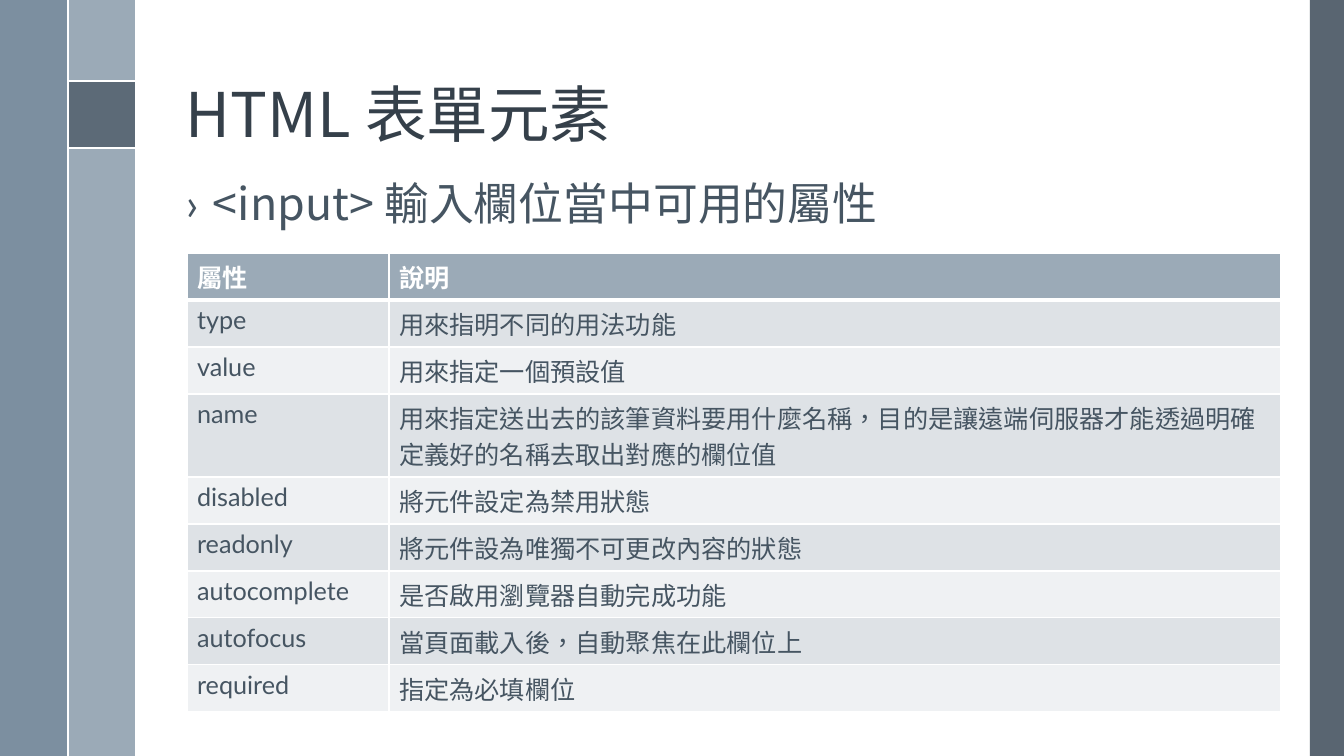
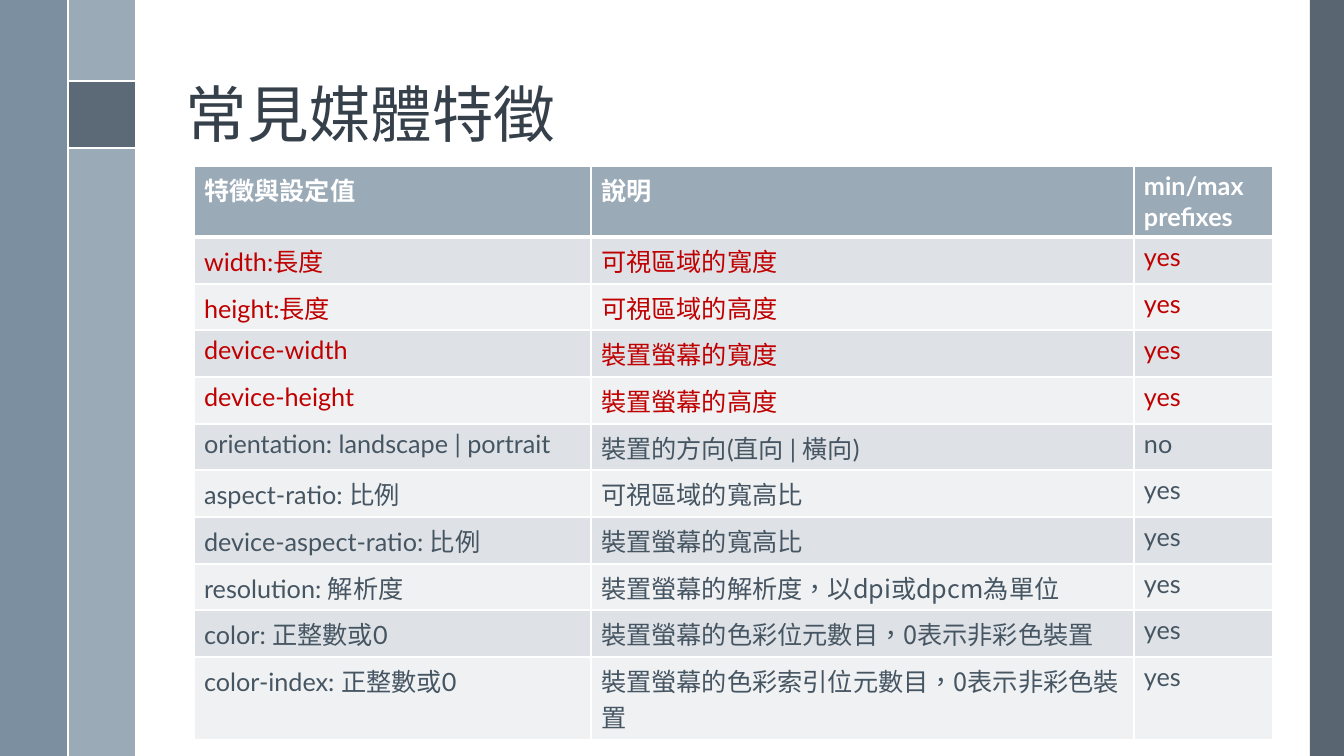
from lxml import etree
from pptx import Presentation
from pptx import util as u
from pptx.dml.color import RGBColor
from pptx.enum import shapes, text
from pptx.oxml.ns import qn

PX = 12192000 / 1344
LATIN, CJK = "Lato", "Noto Sans CJK TC"
WHITE, BODY, TITLE, RED = "FFFFFF", "465562", "35404A", "C00000"
HEADER, BANDS = "9BAAB7", ("EFF1F3", "DEE2E6")

BARS = [
    (1310, 0, 34, 756, "475562", 90),
    (68, 0, 67, 756, HEADER, 100),
    (0, 0, 67, 756, "6A8093", 88),
    (68, 81, 67, 67, "475562", 75),
]
RULES = [(68, 81, 135, 81), (68, 148, 135, 148), (68, 0, 68, 756)]

PAGES = [
    {
        "title": "HTML 表單元素",
        "bullet": "<input> 輸入欄位當中可用的屬性",
        "corner": (187, 253),
        "columns": [202, 892],
        "heights": [47] * 3 + [83] + [47] * 5,
        "red_rows": 0,
        "rows": [
            ["屬性", "說明"],
            ["type", "用來指明不同的用法功能"],
            ["value", "用來指定一個預設值"],
            ["name", "用來指定送出去的該筆資料要用什麼名稱，目的是讓遠端伺服器才能透過明確定義好的名稱去取出對應的欄位值"],
            ["disabled", "將元件設定為禁用狀態"],
            ["readonly", "將元件設為唯獨不可更改內容的狀態"],
            ["autocomplete", "是否啟用瀏覽器自動完成功能"],
            ["autofocus", "當頁面載入後，自動聚焦在此欄位上"],
            ["required", "指定為必填欄位"],
        ],
    },
    {
        "title": "常見媒體特徵",
        "bullet": None,
        "corner": (194, 166),
        "columns": [397, 543, 139],
        "heights": [71] + [47, 46, 47] * 3 + [83],
        "red_rows": 4,
        "rows": [
            ["特徵與設定值", "說明", "min/max prefixes"],
            ["width:長度", "可視區域的寬度", "yes"],
            ["height:長度", "可視區域的高度", "yes"],
            ["device-width", "裝置螢幕的寬度", "yes"],
            ["device-height", "裝置螢幕的高度", "yes"],
            ["orientation: landscape | portrait", "裝置的方向(直向 | 橫向)", "no"],
            ["aspect-ratio: 比例", "可視區域的寬高比", "yes"],
            ["device-aspect-ratio: 比例", "裝置螢幕的寬高比", "yes"],
            ["resolution: 解析度", ("裝置螢幕的解析度", "，以dpi或dpcm為單位"), "yes"],
            ["color: 正整數或0", ("裝置螢幕的色彩位元數目", "，0表示非彩色裝置"), "yes"],
            ["color-index: 正整數或0", ("裝置螢幕的色彩索引位元數目", "，0表示非彩色裝置"), "yes"],
        ],
    },
]


def paint(fill, color, opacity=100):
    fill.solid()
    fill.fore_color.rgb = RGBColor.from_string(color)
    if opacity < 100:
        color_node = fill._xPr.find(qn("a:solidFill"))[0]
        etree.SubElement(color_node, qn("a:alpha"), val=str(opacity * 1000))


def add_run(paragraph, words, size, color, font=CJK, bold=False):
    run = paragraph.add_run()
    run.text = words
    run.font.size = u.Pt(size)
    run.font.bold = bold
    run.font.name = font
    paint(run.font.fill, color)
    properties = run._r.get_or_add_rPr()
    properties.set("lang", "zh-TW")
    east_asian = etree.Element(qn("a:ea"), typeface=CJK)
    properties.find(qn("a:latin")).addnext(east_asian)


presentation = Presentation()
presentation.slide_width = u.Emu(round(1344 * PX))
presentation.slide_height = u.Emu(round(756 * PX))

for page in PAGES:
    slide = presentation.slides.add_slide(presentation.slide_layouts[6])

    for *box, color, opacity in BARS:
        bar = slide.shapes.add_shape(shapes.MSO_SHAPE.RECTANGLE, *[round(n * PX) for n in box])
        bar.shadow.inherit = False
        bar.line.fill.background()
        paint(bar.fill, color, opacity)

    for ends in RULES:
        rule = slide.shapes.add_connector(shapes.MSO_CONNECTOR.STRAIGHT, *[round(n * PX) for n in ends])
        rule.line.width = u.Pt(1.5)
        paint(rule.line.fill, WHITE)
        etree.SubElement(rule._element.spPr, qn("a:effectLst"))

    headings = [(page["title"], 19, 137, 44, TITLE, text.MSO_ANCHOR.BOTTOM)]
    if page["bullet"]:
        headings.append((page["bullet"], 177, 72, 32, BODY, text.MSO_ANCHOR.TOP))
    for words, top, height, size, color, anchor in headings:
        box = slide.shapes.add_textbox(*[round(n * PX) for n in (176, top, 1079, height)])
        box.text_frame.word_wrap = True
        box.text_frame.vertical_anchor = anchor
        paragraph = box.text_frame.paragraphs[0]
        paragraph.line_spacing = 0.9
        add_run(paragraph, words, size, color)
        if words == page["bullet"]:
            properties = paragraph._p.get_or_add_pPr()
            indent = round(27 * PX)
            properties.set("marL", str(indent))
            properties.set("indent", str(-indent))
            etree.SubElement(properties, qn("a:buFont"), typeface=LATIN)
            etree.SubElement(properties, qn("a:buChar"), char="›")

    rows, columns, heights = page["rows"], page["columns"], page["heights"]
    frame = (*page["corner"], sum(columns), sum(heights))
    table = slide.shapes.add_table(len(rows), len(columns), *[round(n * PX) for n in frame]).table
    for column, width in zip(table.columns, columns):
        column.width = round(width * PX)
    for table_row, height in zip(table.rows, heights):
        table_row.height = round(height * PX)
    for row_index, row in enumerate(rows):
        header = row_index == 0
        color = WHITE if header else RED if row_index <= page["red_rows"] else BODY
        for column_index, content in enumerate(row):
            cell = table.cell(row_index, column_index)
            paint(cell.fill, HEADER if header else BANDS[row_index % 2])
            thick_side = {0: "B", 1: "T"}.get(row_index)
            for position, side in enumerate("LRTB"):
                width = u.Pt(3 if side == thick_side else 1)
                border = etree.Element(qn("a:ln" + side), w=str(width))
                border_fill = etree.SubElement(border, qn("a:solidFill"))
                etree.SubElement(border_fill, qn("a:srgbClr"), val=WHITE)
                cell._tc.get_or_add_tcPr().insert(position, border)
            paragraph = cell.text_frame.paragraphs[0]
            pieces = (content,) if isinstance(content, str) else content
            for words, font in zip(pieces, (LATIN, CJK)):
                add_run(paragraph, words, 18, color, font, header)

presentation.save("out.pptx")
